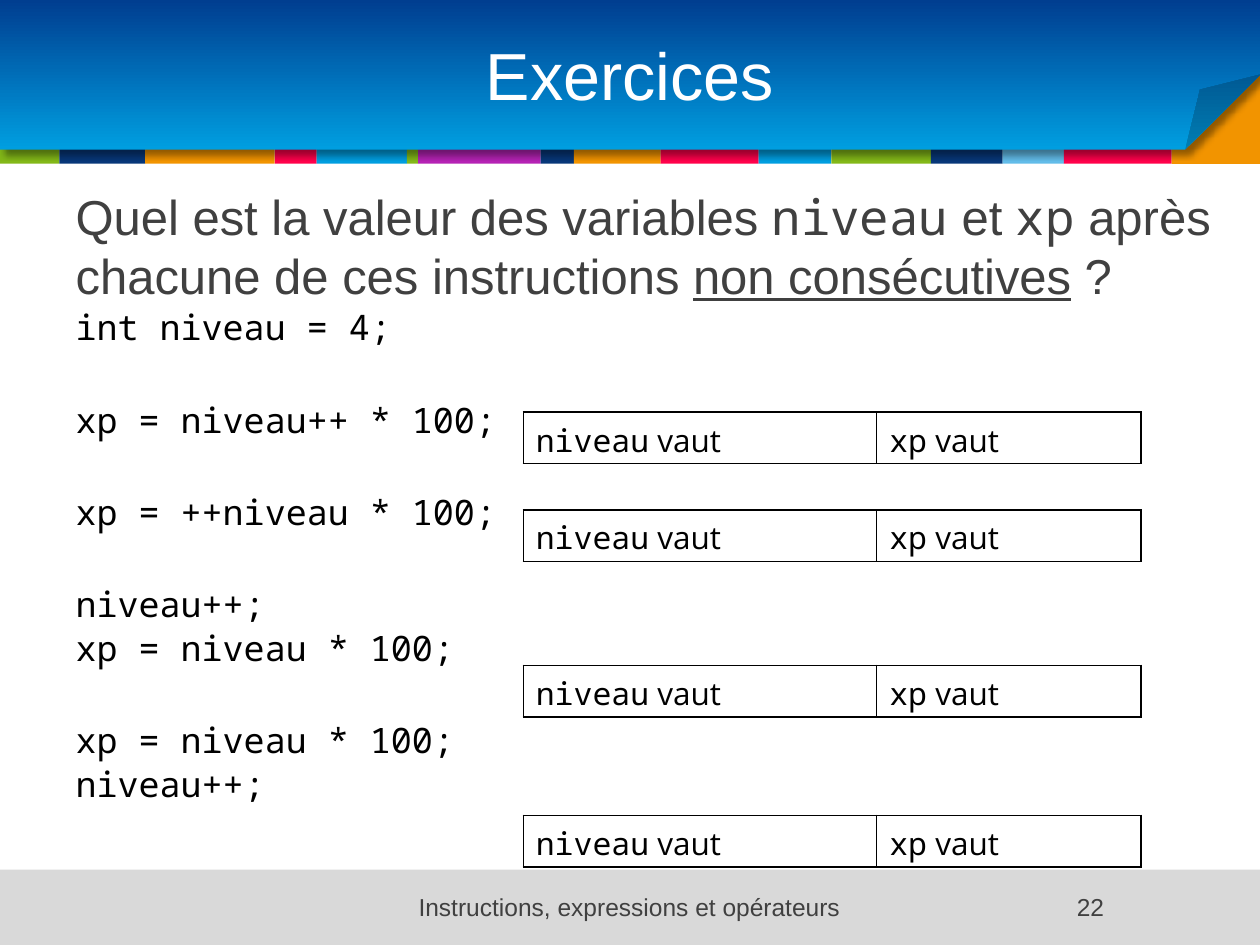
from itertools import pairwise

from lxml.etree import SubElement
from pptx import Presentation
from pptx.dml.color import RGBColor
from pptx.enum.shapes import MSO_SHAPE as SHAPE
from pptx.enum.text import MSO_ANCHOR as ANCHOR, MSO_AUTO_SIZE as AUTO, PP_ALIGN as ALIGN
from pptx.oxml import parse_xml
from pptx.oxml.ns import nsdecls, qn
from pptx.util import Pt

# Content
TITLE = "Exercices"
FOOTER = "Instructions, expressions et opérateurs"
PAGE = "22"
QUESTION = [
    ("Quel est la valeur des variables ", "sans"), ("niveau", "mono"),
    (" et ", "sans"), ("xp", "mono"),
    (" après chacune de ces instructions ", "sans"),
    ("non consécutives", "underline"), (" ?", "sans"),
]
CODE_GROUPS = [
    ["int niveau = 4;"],
    ["xp = niveau++ * 100;"],
    ["xp = ++niveau * 100;"],
    ["niveau++;", "xp = niveau * 100;"],
    ["xp = niveau * 100;", "niveau++;"],
]
ANSWERS = ["niveau", "xp"]

# Theme and layout, in points
THEME = {
    "sans": "Arial", "mono": "Noto Sans Mono", "table": "Open Sans",
    "title": 38, "body": 28, "code": 20, "cell": 18, "foot": 14,
    "white": "FFFFFF", "grey": "404040", "black": "000000", "band": "D9D9D9",
    "green": "83B818", "navy": "073779", "orange": "F29400", "red": "FF014B",
    "blue": "009EE0", "purple": "B523B4", "sky": "62BCE9", "deep": "003E90",
}
W, H = 720, 540
STRIPES = [
    (0, "green"), (34, "navy"), (83, "orange"), (157, "red"), (181, "blue"),
    (232.5, "green"), (239, "purple"), (309, "navy"), (328, "orange"),
    (377.5, "red"), (433.5, "blue"), (475, "green"), (532, "navy"),
    (573, "sky"), (608, "red"), (669.5, "orange"), (W, None),
]
TABLE_TOPS = [235.5, 291.5, 380.25, 466]
TABLE_LEFT, ROW_H = 299, 29.5
COLS = [202, 151]
LINE_GAP, GROUP_GAP = 0.8, 28.8


def color(key):
    return RGBColor.from_string(THEME[key])


def box(x, y, w, h):
    return [Pt(v) for v in (x, y, w, h)]


def add_run(p, text, *, font="sans", size="body", fill="grey", underline=None):
    r = p.add_run()
    r.text = text
    r.font.name, r.font.size = THEME[font], Pt(THEME[size])
    r.font.color.rgb = color(fill)
    r.font.underline = underline


def add_block(s, kind, x, y, w, h, fill=None):
    sp = s.shapes.add_shape(kind, *box(x, y, w, h))
    sp.shadow.inherit = False
    sp.line.fill.background()
    if fill:
        sp.fill.solid()
        sp.fill.fore_color.rgb = color(fill)
    return sp


def draw_background(s):
    # Colour strip, with the orange end showing under the fold
    for (x, fill), (end, _) in pairwise(STRIPES):
        top = 34 if end == W else 58
        add_block(s, SHAPE.RECTANGLE, x, top, end - x, 93.6 - top, fill)
    # Header with folded corner
    header = add_block(s, SHAPE.FOLDED_CORNER, 0, 0, W, 85.5)
    spPr = header._element.spPr
    guides = spPr.find(qn("a:prstGeom")).get_or_add_avLst()
    SubElement(guides, qn("a:gd"), name="adj", fmla="val 50000")
    header.fill.gradient()
    header.fill.gradient_angle = 90
    for stop, key in zip(header.fill.gradient_stops, ("blue", "deep")):
        stop.color.rgb = color(key)
    spPr.find(qn("a:effectLst")).append(parse_xml(
        f'<a:outerShdw {nsdecls("a")} blurRad="{Pt(4)}" dist="{Pt(3)}" dir="2700000" '
        'algn="tl" rotWithShape="0"><a:srgbClr val="000000"><a:alpha val="40000"/>'
        '</a:srgbClr></a:outerShdw>'))
    add_block(s, SHAPE.RECTANGLE, 0, 497, W, H - 497, "band")


def place(s, sp, *bounds):
    """Position a placeholder and bring it in front of the background."""
    sp.left, sp.top, sp.width, sp.height = box(*bounds)
    s.shapes._spTree.append(sp._element)
    sp.text_frame.auto_size = AUTO.NONE
    return sp.text_frame


def plain_paragraph(p, gap):
    p.space_before = Pt(gap)
    pPr = p._p.get_or_add_pPr()
    pPr.set("marL", "0")
    pPr.set("indent", "0")
    SubElement(pPr, qn("a:buNone"))


def fill_body(tf):
    p = tf.paragraphs[0]
    plain_paragraph(p, 0)
    for text, style in QUESTION:
        add_run(p, text, font="mono" if style == "mono" else "sans",
                underline=style == "underline")
    for g, group in enumerate(CODE_GROUPS):
        for i, line in enumerate(group):
            p = tf.add_paragraph()
            plain_paragraph(p, GROUP_GAP if g and not i else LINE_GAP)
            add_run(p, line, font="mono", size="code", fill="black")


def add_footer(s, text, align, *bounds):
    tf = s.shapes.add_textbox(*box(*bounds)).text_frame
    tf.word_wrap = True
    tf.paragraphs[0].alignment = align
    add_run(tf.paragraphs[0], text, size="foot")


def add_answers(s, top):
    table = s.shapes.add_table(1, len(COLS), *box(TABLE_LEFT, top, sum(COLS), ROW_H)).table
    table.first_row = table.horz_banding = False
    for i, (name, width) in enumerate(zip(ANSWERS, COLS)):
        table.columns[i].width = Pt(width)
        cell = table.cell(0, i)
        tcPr = cell._tc.get_or_add_tcPr()
        for side in ("lnL", "lnR", "lnT", "lnB"):
            ln = SubElement(tcPr, qn(f"a:{side}"), w=str(Pt(1)))
            SubElement(SubElement(ln, qn("a:solidFill")), qn("a:srgbClr"), val=THEME["black"])
        cell.fill.background()
        p = cell.text_frame.paragraphs[0]
        add_run(p, name, font="mono", size="cell", fill="black")
        add_run(p, " vaut", font="table", size="cell", fill="black")


def main():
    prs = Presentation()
    prs.slide_width, prs.slide_height = Pt(W), Pt(H)
    s = prs.slides.add_slide(prs.slide_layouts[1])
    draw_background(s)

    # Title and body
    tf = place(s, s.shapes.title, 36, 5, 648, 74)
    tf.vertical_anchor = ANCHOR.MIDDLE
    tf.paragraphs[0].alignment = ALIGN.CENTER
    add_run(tf.paragraphs[0], TITLE, size="title", fill="white")
    fill_body(place(s, s.placeholders[1], 36, 103, 672, 392))

    # Footer and answer tables
    add_footer(s, FOOTER, ALIGN.CENTER, 184, 506, 351.5, 26.5)
    add_footer(s, PAGE, ALIGN.RIGHT, 553, 506, 85, 26.5)
    for top in TABLE_TOPS:
        add_answers(s, top)
    prs.save("out.pptx")


if __name__ == "__main__":
    main()
